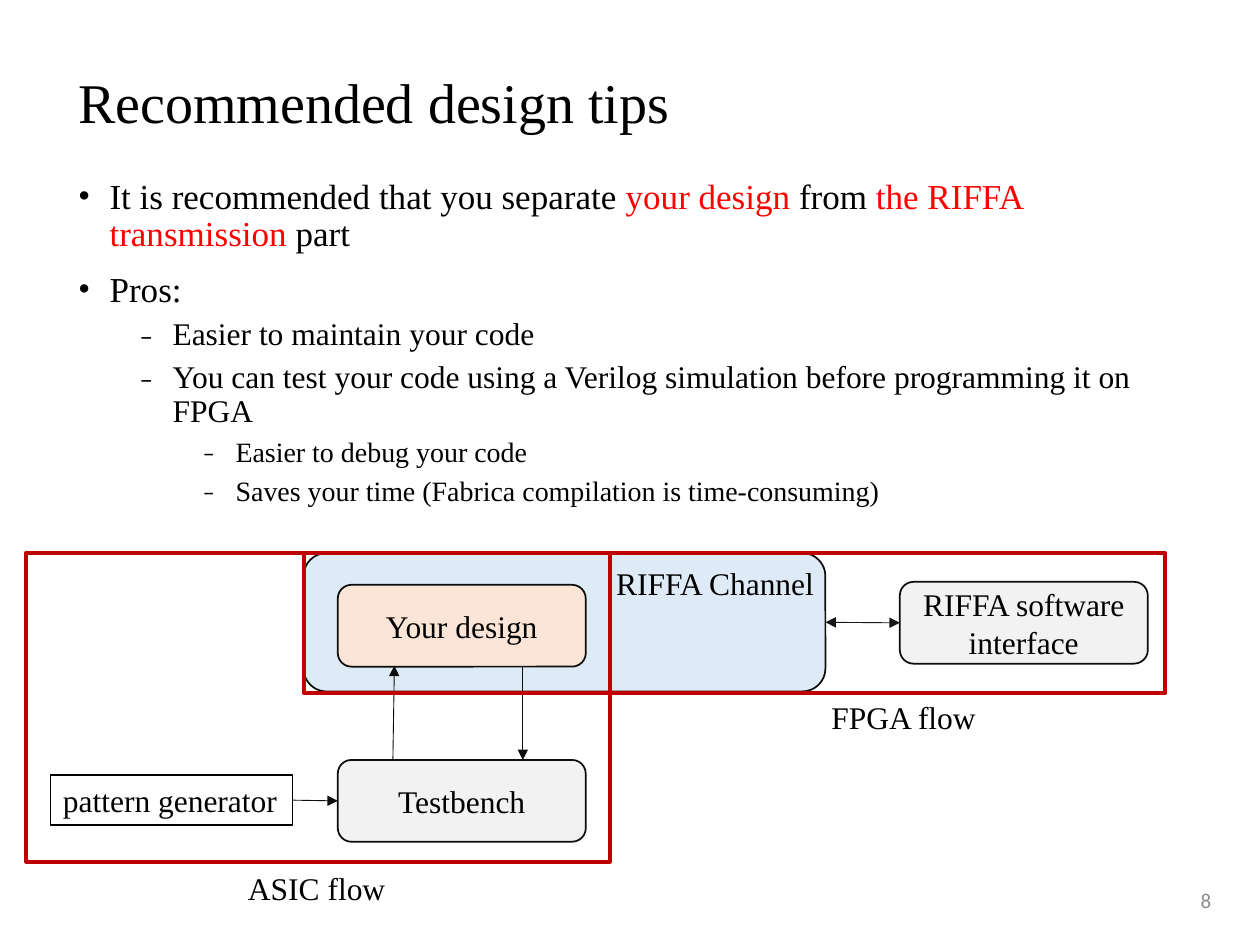
from lxml import etree
from pptx import Presentation
from pptx.dml.color import RGBColor
from pptx.enum.shapes import MSO_CONNECTOR, MSO_SHAPE
from pptx.enum.text import MSO_ANCHOR, MSO_AUTO_SIZE, PP_ALIGN
from pptx.oxml.ns import qn
from pptx.util import Cm, Pt

STRAIGHT = MSO_CONNECTOR.STRAIGHT
RECTANGLE, ROUNDED = MSO_SHAPE.RECTANGLE, MSO_SHAPE.ROUNDED_RECTANGLE
TOP, MIDDLE = MSO_ANCHOR.TOP, MSO_ANCHOR.MIDDLE
NO_FIT = MSO_AUTO_SIZE.NONE
LEFT, CENTER, RIGHT = PP_ALIGN.LEFT, PP_ALIGN.CENTER, PP_ALIGN.RIGHT
LEFT_SIDE, RIGHT_SIDE = 1, 3

COLORS = {
    "text": "000000", "accent": "FF0000", "number": "8C8C8C",
    "channel": "DEEBF7", "design": "FBE5D6", "block": "F2F2F2",
    "outline": "0D0D0D", "link": "181717", "flow": "C00000",
}
SERIF, SANS = "Times New Roman", "Calibri"

LEVELS = [
    {"size": 20, "before": 10, "bullet": "•"},
    {"size": 18, "before": 5, "bullet": "˗"},
    {"size": 16, "before": 5, "bullet": "˗"},
]
TIPS = [
    (0, [("It is recommended that you separate ", "text"), ("your design ", "accent"),
         ("from", "text"), (" the RIFFA transmission ", "accent"), ("part", "text")]),
    (0, [("Pros:", "text")]),
    (1, [("Easier to maintain your code", "text")]),
    (1, [("You can test your code using a Verilog simulation before programming it on FPGA",
          "text")]),
    (2, [("Easier to debug your code", "text")]),
    (2, [("Saves your time (Fabrica compilation is time-consuming)", "text")]),
]
BLOCK_WIDTH, BLOCK_HEIGHT = 5, 1.65
LABEL_HEIGHT = 1.02
FLOW_TOP = 11.15


def rgb(name):
    return RGBColor.from_string(COLORS[name])


def add_span(para, text, size=18, font=SERIF, color="text"):
    span = para.add_run()
    span.text = text
    span.font.size = Pt(size)
    span.font.name = font
    span.font.color.rgb = rgb(color)


class SlideBuilder:
    def __init__(self, page):
        self.page = page

    def place(self, box, left, top, width, height):
        box.left, box.top = Cm(left), Cm(top)
        box.width, box.height = Cm(width), Cm(height)

    def set_text(self, box, text, align=CENTER, anchor=MIDDLE, wrap=True, **style):
        frame = box.text_frame
        frame.word_wrap = wrap
        frame.auto_size = NO_FIT
        frame.vertical_anchor = anchor
        para = frame.paragraphs[0]
        para.alignment = align
        add_span(para, text, **style)
        return para

    def title(self, text, *area):
        box = self.page.shapes.title
        self.place(box, *area)
        para = self.set_text(box, text, align=LEFT, size=32)
        para.line_spacing = 0.9

    def bullets(self, items, *area):
        box = self.page.placeholders[1]
        self.place(box, *area)
        frame = box.text_frame
        frame.auto_size = NO_FIT
        for index, (level, spans) in enumerate(items):
            para = frame.add_paragraph() if index else frame.paragraphs[0]
            style = LEVELS[level]
            para.level = level
            para.line_spacing = 0.9
            para.space_before = Pt(style["before"])
            props = para._p.get_or_add_pPr()
            props.set("marL", str(Cm(0.635 + 1.27 * level)))
            props.set("indent", str(-Cm(0.635)))
            etree.SubElement(props, qn("a:buFont"), typeface=SERIF)
            etree.SubElement(props, qn("a:buChar"), char=style["bullet"])
            for text, color in spans:
                add_span(para, text, size=style["size"], color=color)

    def shape(self, kind, left, top, width, height, fill=None, line="outline", weight=1):
        box = self.page.shapes.add_shape(kind, Cm(left), Cm(top), Cm(width), Cm(height))
        box.shadow.inherit = False
        if fill:
            box.fill.solid()
            box.fill.fore_color.rgb = rgb(fill)
        else:
            box.fill.background()
        box.line.color.rgb = rgb(line)
        box.line.width = Pt(weight)
        return box

    def block(self, text, left, top, fill="block"):
        box = self.shape(ROUNDED, left, top, BLOCK_WIDTH, BLOCK_HEIGHT, fill)
        self.set_text(box, text)
        return box

    def frame(self, *area):
        self.shape(RECTANGLE, *area, line="flow", weight=2.25)

    def label(self, text, left, top, width, align=LEFT, anchor=TOP, wrap=False, **style):
        box = self.page.shapes.add_textbox(Cm(left), Cm(top), Cm(width), Cm(LABEL_HEIGHT))
        self.set_text(box, text, align, anchor, wrap, **style)

    def arrow(self, start=(0, 0), end=(0, 0), join=None, color="outline", both=False):
        line = self.page.shapes.add_connector(
            STRAIGHT, *(Cm(value) for value in (*start, *end)))
        if join:
            source, target = join
            line.begin_connect(source, RIGHT_SIDE)
            line.end_connect(target, LEFT_SIDE)
        line.line.color.rgb = rgb(color)
        line.line.width = Pt(0.5)
        props = line._element.spPr.find(qn("a:ln"))
        for tag in ("a:headEnd", "a:tailEnd") if both else ("a:tailEnd",):
            etree.SubElement(props, qn(tag), type="triangle")
        etree.SubElement(line._element.spPr, qn("a:effectLst"))


def main():
    deck = Presentation()
    deck.slide_width, deck.slide_height = Cm(25.4), Cm(19.05)
    builder = SlideBuilder(deck.slides.add_slide(deck.slide_layouts[1]))

    builder.title("Recommended design tips", 1.32, 1.02, 22.94, 2.21)
    builder.bullets(TIPS, 1.32, 3.48, 22.94, 14.15)
    builder.label("8", 18.95, 17.63, 5.72, align=RIGHT, anchor=MIDDLE, wrap=True,
                  size=12, font=SANS, color="number")

    channel = builder.shape(ROUNDED, 6.12, FLOW_TOP, 10.52, 2.79, "channel")
    builder.block("Your design", 6.81, 11.79, "design")
    testbench = builder.block("Testbench", 6.81, 15.32)
    generator = builder.shape(RECTANGLE, 1.02, 15.62, 4.88, LABEL_HEIGHT, line="text")
    builder.set_text(generator, "pattern generator", align=LEFT, anchor=TOP, wrap=False)
    interface = builder.block("RIFFA software interface", 18.14, 11.73)

    builder.arrow(join=(generator, testbench))
    builder.arrow((7.92, 15.32), (7.95, 13.42))
    builder.arrow((10.54, 13.42), (10.54, 15.32))
    builder.arrow(join=(channel, interface), color="link", both=True)

    builder.label("RIFFA Channel", 12.17, 11.25, 4.54)
    builder.frame(0.53, FLOW_TOP, 11.76, 6.22)
    builder.label("ASIC flow", 4.75, 17.4, 3.3)
    builder.frame(6.12, FLOW_TOP, 17.37, 2.82)
    builder.label("FPGA flow", 16.51, 13.94, 3.45)

    deck.save("out.pptx")


if __name__ == "__main__":
    main()
